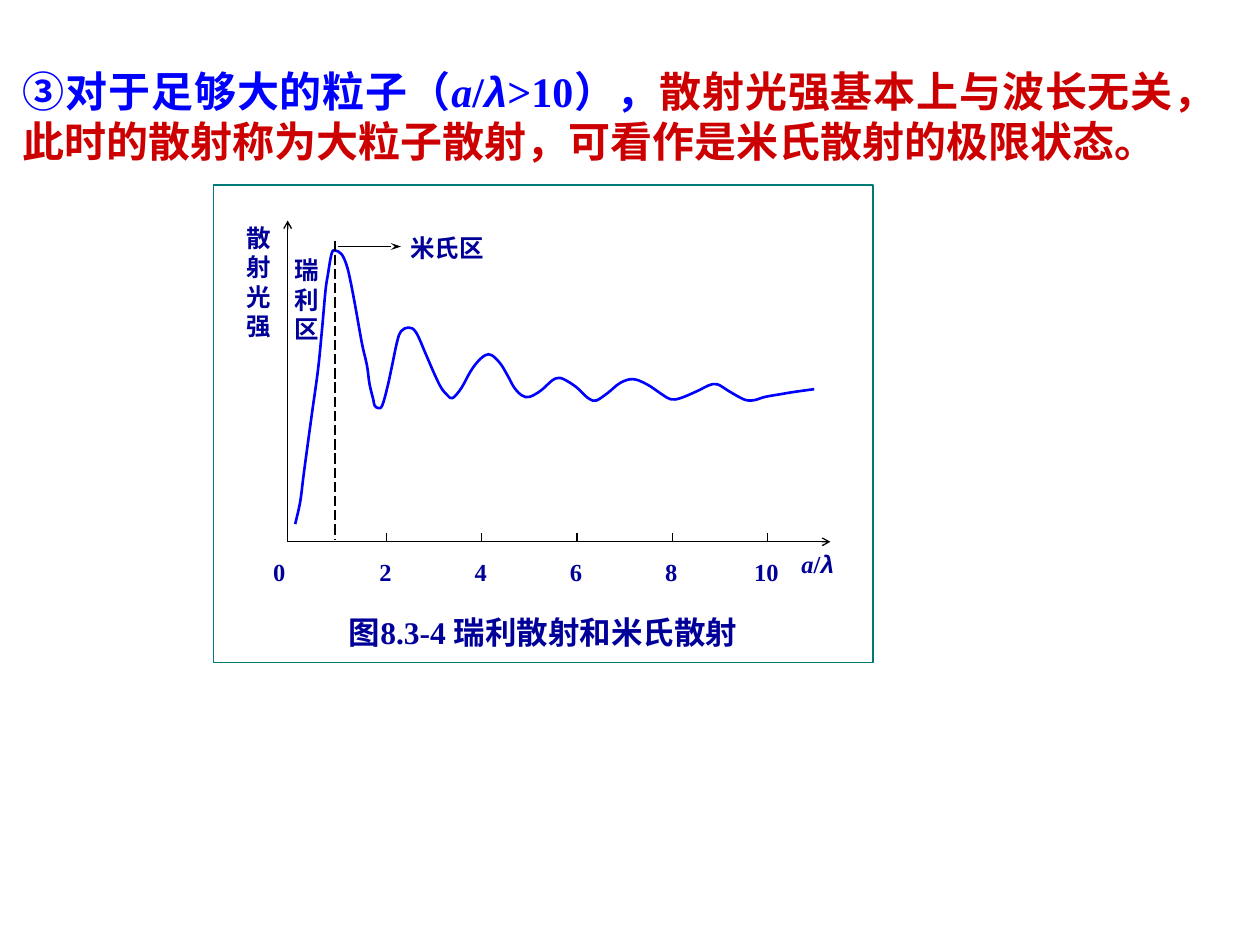
from lxml import etree
from pptx import Presentation
from pptx.dml.color import RGBColor
from pptx.enum import dml, shapes, text
from pptx.oxml import ns
from pptx.util import Pt

BLUE = RGBColor(0x00, 0x00, 0xFF)
RED = RGBColor(0xCC, 0x00, 0x00)
NAVY = RGBColor(0x00, 0x00, 0x99)
TEAL = RGBColor(0x00, 0x7A, 0x77)
BLACK = RGBColor(0x00, 0x00, 0x00)
WHITE = RGBColor(0xFF, 0xFF, 0xFF)
SERIF, SANS, HAN = "Times New Roman", "Arial", "Noto Sans CJK SC"

CURVE = [
    (46.8, 193.7), (49.7, 180.7), (51.8, 164.2), (56.2, 131.8), (59.8, 105.8),
    (61.9, 85), (64.1, 60.5), (65.5, 51.1), (67.7, 38.9), (69.8, 37.4),
    (73.4, 39.6), (76.3, 46.1), (78.5, 55.4), (81.4, 70.6), (85, 90.7),
    (87.8, 103), (89.3, 113.8), (91.4, 122.4), (92.2, 126), (94.3, 127.4),
    (96.5, 126), (99.4, 115.9), (102.2, 103), (105.1, 89.3), (107.3, 83.5),
    (111.6, 81.4), (115.9, 84.2), (121.7, 97.2), (126.7, 108.7), (130.3, 115.9),
    (133.9, 120.2), (136.8, 121.7), (141.8, 115.9), (146.9, 106.6), (151.2, 100.8),
    (155.5, 97.2), (159.1, 97.2), (164.2, 102.2), (168.5, 109.4), (172.1, 115.9),
    (176.4, 120.2), (180.7, 121), (187.2, 117.4), (193.7, 111.6), (197.3, 110.2),
    (200.2, 110.9), (205.2, 113.8), (208.8, 116.6), (212.4, 120.2), (215.3, 122.4),
    (218.9, 123.1), (225.4, 118.8), (232.6, 113), (239.8, 110.9), (247.7, 113.8),
    (256.3, 119.5), (261.4, 122.4), (267.1, 121.7), (277.2, 117.4), (283, 114.5),
    (288, 113.8), (295.2, 118.1), (303.1, 122.4), (307.4, 123.1), (311, 122.4),
    (315.4, 121), (324, 119.5), (332.6, 118.1), (343.4, 116.6),
]


def smooth(freeform):
    """Turn the straight segments of a freeform into a smooth curve."""
    outline = freeform._element.find(".//" + ns.qn("a:path"))
    anchors = [(int(pt.get("x")), int(pt.get("y"))) for pt in outline.iter(ns.qn("a:pt"))]
    for segment in outline.findall(ns.qn("a:lnTo")):
        outline.remove(segment)
    padded = [anchors[0], *anchors, anchors[-1]]
    for a, b, c, d in zip(padded, padded[1:], padded[2:], padded[3:]):
        leaving = [q + (r - p) / 6 for p, q, r in zip(a, b, c)]
        arriving = [q - (r - p) / 6 for p, q, r in zip(b, c, d)]
        bend = etree.SubElement(outline, ns.qn("a:cubicBezTo"))
        for x, y in (leaving, arriving, c):
            etree.SubElement(bend, ns.qn("a:pt"), x=str(round(x)), y=str(round(y)))


def add_label(parent, box, runs, size, align=text.PP_ALIGN.CENTER):
    """Add bold text made of (words, font, colour, italic) runs."""
    frame = parent.add_textbox(*map(Pt, box)).text_frame
    frame.margin_left = frame.margin_right = frame.margin_top = frame.margin_bottom = 0
    frame.word_wrap = True
    paragraph = frame.paragraphs[0]
    paragraph.alignment = align
    paragraph.line_spacing = Pt(1.2 * size)
    for words, face, colour, italic in runs:
        run = paragraph.add_run()
        run.text = words
        font = run.font
        font.name, font.size, font.bold, font.italic = face, Pt(size), True, italic
        font.color.rgb = colour
        etree.SubElement(font._element, ns.qn("a:ea"), typeface=HAN)


def add_line(parent, start, end, head=None, length="sm", dash=None):
    """Add a thin black line, with an arrowhead or dashes if asked."""
    line = parent.add_connector(shapes.MSO_CONNECTOR.STRAIGHT, *map(Pt, (*start, *end)))
    line.line.color.rgb = BLACK
    line.line.width = Pt(0.75)
    if dash:
        line.line.dash_style = dash
    if head:
        etree.SubElement(line.line._get_or_add_ln(), ns.qn("a:tailEnd"),
                         type=head, w="sm", len=length)
    etree.SubElement(line._element.spPr, ns.qn("a:effectLst"))


def add_statement(slide, box):
    """Write the statement on large particles."""
    add_label(slide.shapes, box, [
        ("③", HAN, BLUE, False),
        ("对于足够大的粒子", SERIF, BLUE, False),
        ("（", HAN, BLUE, False),
        ("a", SERIF, BLUE, True),
        ("/", SERIF, BLUE, False),
        ("λ", SANS, BLUE, True),
        (">10", SERIF, BLUE, False),
        ("），", HAN, BLUE, False),
        ("散射光强基本上与波长无关，此时的散射称为大粒子散射，可看作是米氏散射的极限状态。 ",
         HAN, RED, False),
    ], 24, text.PP_ALIGN.JUSTIFY)


def add_figure(slide, box):
    """Draw the scattering figure inside its frame."""
    left, top, width, height = box
    parts = slide.shapes.add_group_shape().shapes

    def at(x, y):
        """Shift a point from the frame to the slide."""
        return left + x, top + y

    def label(x, y, w, h, words, size=14):
        """Add a navy label at a place in the frame."""
        add_label(parts, (*at(x, y), w, h), [(words, SERIF, NAVY, False)], size)

    frame = parts.add_shape(shapes.MSO_SHAPE.RECTANGLE, *map(Pt, box))
    frame.shadow.inherit = False
    frame.fill.solid()
    frame.fill.fore_color.rgb = WHITE
    frame.line.color.rgb = TEAL
    frame.line.width = Pt(0.75)

    points = [tuple(100 * length for length in at(x, y)) for x, y in CURVE]
    builder = parts.build_freeform(*points[0], scale=Pt(1) / 100)
    builder.add_line_segments(points[1:], close=False)
    intensity = builder.convert_to_shape()
    smooth(intensity)
    intensity.shadow.inherit = False
    intensity.fill.background()
    intensity.line.color.rgb = BLUE
    intensity.line.width = Pt(1.5)

    axis_x, axis_y = 42.5, 203.8
    add_line(parts, at(axis_x, axis_y), at(axis_x, 20.2), head="arrow")
    add_line(parts, at(axis_x, axis_y), at(352.6, axis_y), head="arrow")
    add_line(parts, at(69.6, 31.7), at(69.6, 202.3), dash=dml.MSO_LINE.LONG_DASH)
    add_line(parts, at(71.3, 35.1), at(107.3, 35.1), head="stealth", length="med")

    label(27.2, 212.4, 20.9, 17.3, "0")
    for index in range(5):
        tick = 99 + 54.4 * index
        add_line(parts, at(tick, axis_y - 5), at(tick, axis_y))
        label(tick - 11, 212.4, 20.9, 17.3, str(2 * index + 2))

    label(18.2, 21.6, 15.8, 77, "散射光强")
    label(43.7, 40, 19.4, 59, "瑞利区")
    label(108.1, 27.2, 51.1, 20.9, "米氏区")
    add_label(parts, (*at(331.7, 208.1), 27.4, 20.9), [
        ("a", SERIF, NAVY, True), ("/", SERIF, NAVY, False), ("λ", SANS, NAVY, True)], 14)
    label(36.5, 244.3, 303.8, 20.9, "图8.3-4 瑞利散射和米氏散射", 18)


def main():
    """Build and save the slide."""
    deck = Presentation()
    deck.slide_width, deck.slide_height = Pt(720), Pt(540)
    slide = deck.slides.add_slide(deck.slide_layouts[6])
    add_statement(slide, (13, 37.4, 681.8, 62.6))
    add_figure(slide, (121.9, 105.8, 377, 272.9))
    deck.save("out.pptx")


if __name__ == "__main__":
    main()
